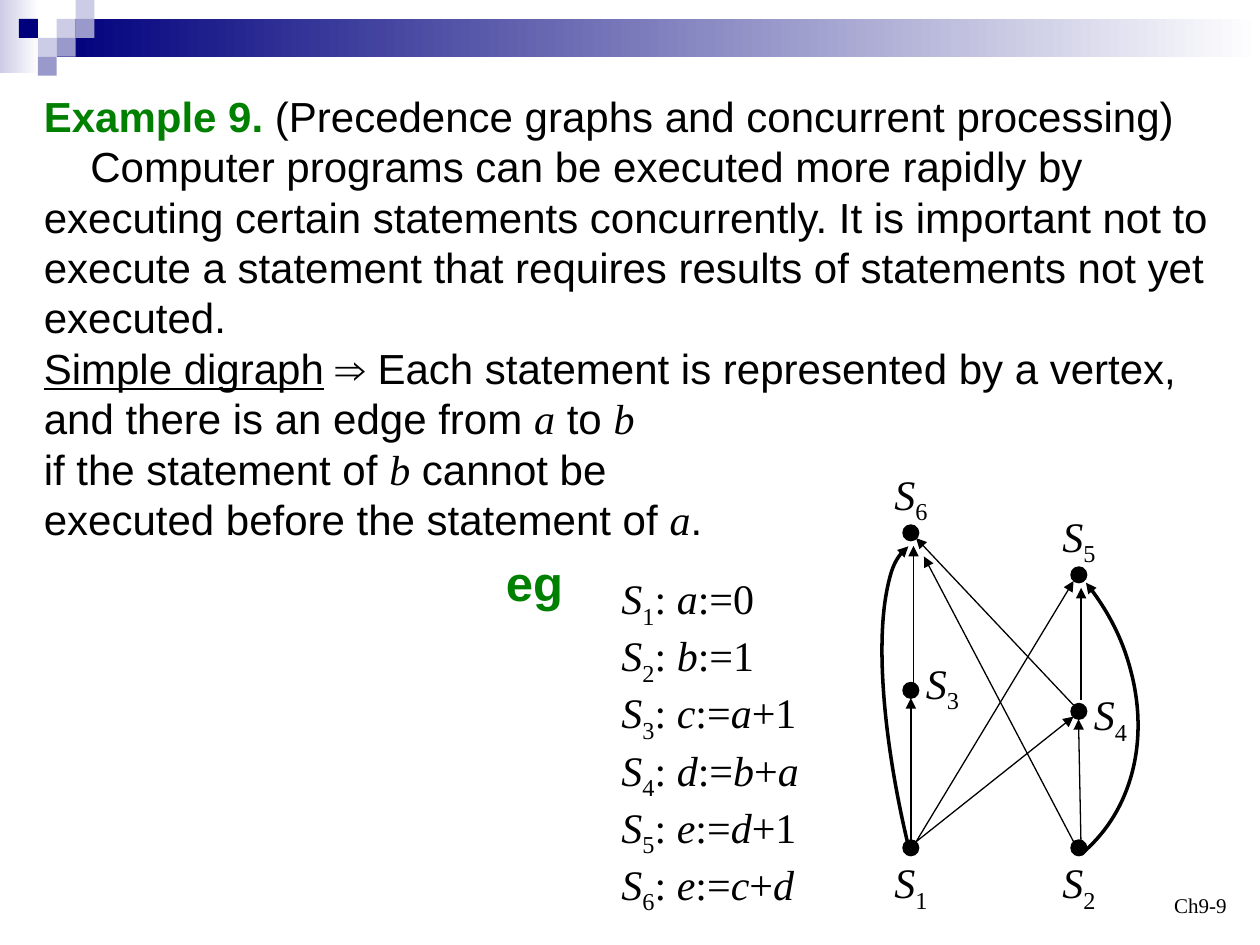
from pptx import Presentation
from pptx import util as u
from pptx.dml.color import RGBColor
from pptx.enum import shapes, text
from pptx.oxml.ns import qn
from lxml import etree

Pt = u.Pt
COLORS = {"ink": "000000", "green": "008000", "navy": "00007D",
          "mid": "9999CC", "pale": "CCCCE6", "white": "FFFFFF"}
SANS, SERIF = "Arial", "Times New Roman"
VAR = {"font": SERIF, "italic": True}


def color(name):
    return RGBColor.from_string(COLORS[name])


def style(run, size=24, font=SANS, ink="ink", bold=False, italic=False,
          under=False, base=0):
    f = run.font
    f.size, f.name, f.bold, f.italic = Pt(size), font, bold, italic
    f.underline = under or None
    f.color.rgb = color(ink)
    if base:
        f._element.set("baseline", str(base * 1000))


def write(slide, box, paras, wrap=True, align=None, anchor=None, pitch=None, **form):
    frame = slide.shapes.add_textbox(*map(Pt, box)).text_frame
    frame.word_wrap = wrap
    if anchor:
        frame.vertical_anchor = anchor
    for i, runs in enumerate(paras):
        para = frame.add_paragraph() if i else frame.paragraphs[0]
        para.alignment = align
        if pitch:
            para.line_spacing = Pt(pitch)
        for words, extra in runs:
            for j, part in enumerate(words.split("\n")):
                if j:
                    para.add_line_break()
                if part:
                    run = para.add_run()
                    run.text = part
                    style(run, **{**form, **extra})


def shape(slide, kind, box, fill=None):
    item = slide.shapes.add_shape(kind, *map(Pt, box))
    item.shadow.inherit = False
    if fill:
        item.fill.solid()
        item.fill.fore_color.rgb = color(fill)
    else:
        item.fill.background()
    item.line.fill.background()
    return item


def stroke(item, width, tip=None):
    item.line.color.rgb = color("ink")
    item.line.width = Pt(width)
    if tip:
        etree.SubElement(item.line._get_or_add_ln(), qn("a:" + tip), type="triangle")


def banner(slide, x, y, width):
    cell = 10.8
    fades = [((x, y, 22.3, 41.8), "pale"),
             ((x + 32.4, y + cell, width - 32.4, 21.6), "navy")]
    for box, start in fades:
        fill = shape(slide, shapes.MSO_SHAPE.RECTANGLE, box).fill
        fill.gradient()
        fill.gradient_angle = 0
        for stop, name in zip(fill.gradient_stops, (start, "white")):
            stop.color.rgb = color(name)
    tiles = [(3, 1, "pale"), (4, 0, "pale"), (4, 1, "mid"), (2, 2, "pale"),
             (1, 1, "navy"), (3, 2, "mid"), (2, 3, "mid")]
    for col, row, name in tiles:
        box = (x + col * cell, y + row * cell, cell, cell)
        shape(slide, shapes.MSO_SHAPE.RECTANGLE, box, name)


def story(slide, box):
    write(slide, box, [
        [("Example 9.", {"bold": True, "ink": "green"}),
         (" (Precedence graphs and concurrent processing)", {})],
        [("    Computer programs can be executed more rapidly by executing certain "
          "statements concurrently. It is important not to execute a statement that "
          "requires results of statements not yet executed.", {})],
        [("Simple digraph", {"under": True}),
         (" ⇒ Each statement is represented by a vertex, \n"
          "and there is an edge from ", {}),
         ("a", VAR), (" to ", {}), ("b \n", VAR),
         ("if the statement of ", {}), ("b", VAR),
         (" cannot be \nexecuted before the statement of ", {}),
         ("a", VAR), (".", {})],
    ], pitch=28.8)


def name(num):
    return [("S", VAR), (str(num), {"base": -25})]


def code(slide, box):
    groups = [[(1, "a:=0"), (2, "b:=1"), (3, "c:=a+1")],
              [(4, "d:=b+a")],
              [(5, "e:=d+1"), (6, "e:=c+d")]]
    paras = []
    for group in groups:
        runs = []
        for i, (num, rule) in enumerate(group):
            runs += [("\n", {})] if i else []
            runs += name(num) + [(": ", {})]
            runs += [(c, VAR if c.isalpha() else {}) for c in rule]
        paras.append(runs)
    write(slide, box, paras, font=SERIF, pitch=32.6)


def graph(slide, x, y):
    arcs = [((-81.4, 31.2, 239, 200.9), 51.4, 215.62, "headEnd"),
            ((-109.4, 165.1, 336.2, 89.3), 256.4, 215.09, "tailEnd")]
    for (left, top, wide, high), turn, end, tip in arcs:
        arc = shape(slide, shapes.MSO_SHAPE.ARC, (x + left, y + top, wide, high))
        arc.adjustments[0], arc.adjustments[1] = 162, end
        arc.rotation = turn
        stroke(arc, 2, tip)
    edges = [(109.5, 217, 24, 54), (16.5, 216, 16.5, 135), (113.8, 222, 112.3, 147),
             (19.5, 217, 109.5, 68), (19.5, 217, 109.5, 145.5), (18, 129, 18, 48),
             (109.5, 139, 19.5, 43.5), (113.8, 136, 113.8, 72)]
    for x1, y1, x2, y2 in edges:
        edge = slide.shapes.add_connector(
            shapes.MSO_CONNECTOR.STRAIGHT,
            Pt(x + x1), Pt(y + y1), Pt(x + x2), Pt(y + y2))
        stroke(edge, 0.75, "tailEnd")
        etree.SubElement(edge._element.spPr, qn("a:effectLst"))
    above, below = (-12, -36), (-12, 6)
    nodes = [(1, 12, 216, below), (2, 108, 216, below), (3, 12, 126, (6, -18)),
             (4, 108, 138, (6, -12)), (5, 108, 60, above), (6, 12, 36, above)]
    for num, left, top, (dx, dy) in nodes:
        box = (x + left, y + top, 9, 9)
        stroke(shape(slide, shapes.MSO_SHAPE.OVAL, box, "ink"), 0.75)
        write(slide, (box[0] + dx, box[1] + dy, 34.6, 36), [name(num)],
              wrap=False, font=SERIF)


def main():
    prs = Presentation()
    prs.slide_width, prs.slide_height = Pt(720), Pt(540)
    slide = prs.slides.add_slide(prs.slide_layouts[6])
    banner(slide, 0, 0, 720)
    story(slide, (18, 48, 684, 265.7))
    write(slide, (282, 312, 47.5, 41), [[("eg", {})]], wrap=False,
          size=28, ink="green", bold=True)
    graph(slide, 504, 264)
    code(slide, (348, 324, 132, 180))
    write(slide, (540, 492, 168, 36), [[("Ch9-9", {})]], size=12, font=SERIF,
          align=text.PP_ALIGN.RIGHT, anchor=text.MSO_ANCHOR.BOTTOM)
    prs.save("out.pptx")


if __name__ == "__main__":
    main()
